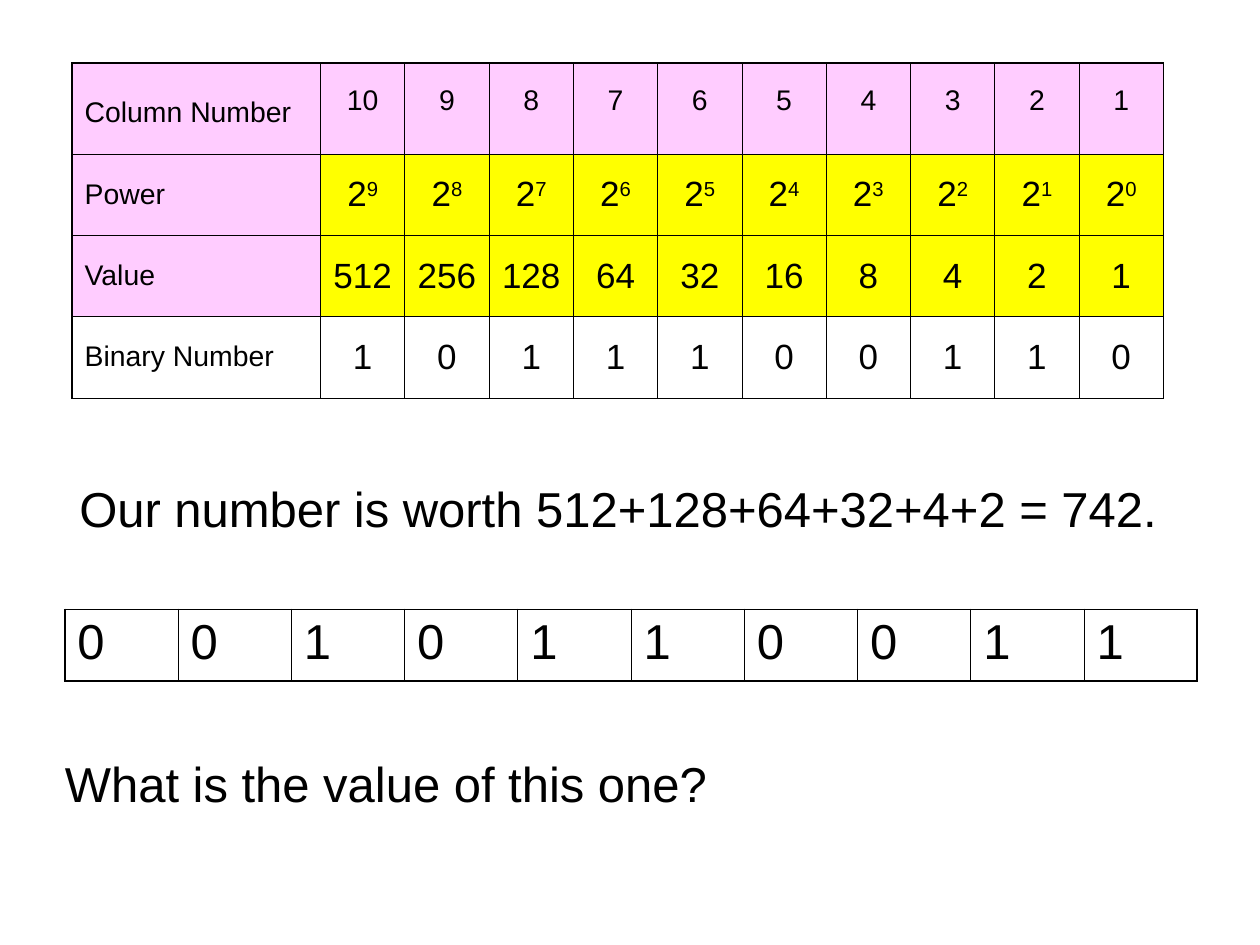
from dataclasses import dataclass

from lxml import etree
from pptx import Presentation
from pptx.dml.color import RGBColor
from pptx.enum.text import MSO_ANCHOR, MSO_AUTO_SIZE, PP_ALIGN
from pptx.oxml.ns import qn
from pptx.util import Pt

LEFT, CENTER = PP_ALIGN.LEFT, PP_ALIGN.CENTER
TOP, MIDDLE, BOTTOM = MSO_ANCHOR.TOP, MSO_ANCHOR.MIDDLE, MSO_ANCHOR.BOTTOM
FIT_SHAPE = MSO_AUTO_SIZE.SHAPE_TO_FIT_TEXT

FONT = "Arial"
BLACK, WHITE, PINK, YELLOW = "000000", "FFFFFF", "FFCCFF", "FFFF00"
THIN, THICK = 0.45, 1.08
LARGE, MEDIUM = 28, 20
BITS = 10


@dataclass
class Entry:
    """One table cell: its text, an optional raised part, and its look."""
    text: str
    raised: str = ""
    size: float = MEDIUM
    fill: str = WHITE
    align: PP_ALIGN = CENTER
    anchor: MSO_ANCHOR = MIDDLE


def color(value: str) -> RGBColor:
    return RGBColor.from_string(value)


def write(frame, text: str, *, raised="", size=LARGE, align=LEFT) -> None:
    paragraph = frame.paragraphs[0]
    paragraph.alignment = align
    for part, baseline in ((text, 0), (raised, 30000)):
        if not part:
            continue
        run = paragraph.add_run()
        run.text = part
        run.font.name = FONT
        run.font.size = Pt(size)
        run.font.color.rgb = color(BLACK)
        if baseline:
            run.font._element.set("baseline", str(baseline))


def add_sentence(slide, text: str, left, top, width, *, wrap: bool) -> None:
    box = slide.shapes.add_textbox(Pt(left), Pt(top), Pt(width), Pt(41))
    box.text_frame.word_wrap = wrap
    box.text_frame.auto_size = FIT_SHAPE
    write(box.text_frame, text)


def set_borders(cell, widths: dict[str, float]) -> None:
    properties = cell._tc.get_or_add_tcPr()
    for position, (side, width) in enumerate(widths.items()):
        line = etree.Element(qn(f"a:ln{side}"), w=str(int(Pt(width))))
        fill = etree.SubElement(line, qn("a:solidFill"))
        etree.SubElement(fill, qn("a:srgbClr"), val=BLACK)
        properties.insert(position, line)


def add_grid(slide, rows: list[list[Entry]], left, top, widths, heights,
             thick_sides: str) -> None:
    """Draw a table whose outer edges named in thick_sides are heavier."""
    frame = slide.shapes.add_table(len(rows), len(widths), Pt(left), Pt(top),
                                   Pt(sum(widths)), Pt(sum(heights)))
    table = frame.table
    table.first_row = table.horz_banding = False
    for column, width in zip(table.columns, widths):
        column.width = Pt(width)
    for row, height in zip(table.rows, heights):
        row.height = Pt(height)

    for r, entries in enumerate(rows):
        for c, entry in enumerate(entries):
            cell = table.cell(r, c)
            cell.fill.solid()
            cell.fill.fore_color.rgb = color(entry.fill)
            cell.vertical_anchor = entry.anchor
            write(cell.text_frame, entry.text, raised=entry.raised,
                  size=entry.size, align=entry.align)
            outer = {"L": c == 0, "R": c == len(widths) - 1,
                     "T": r == 0, "B": r == len(rows) - 1}
            set_borders(cell, {
                side: THICK if at_edge and side in thick_sides else THIN
                for side, at_edge in outer.items()})


def row_label(text: str, fill: str = PINK) -> Entry:
    """Row names are set wholly as raised text at the foot of the cell."""
    return Entry("", text, LARGE, fill, LEFT, BOTTOM)


def main() -> None:
    prs = Presentation()
    prs.slide_width, prs.slide_height = Pt(720), Pt(540)
    slide = prs.slides.add_slide(prs.slide_layouts[6])

    # Worked example and the exercise below it
    add_sentence(slide, "Our number is worth 512+128+64+32+4+2 = 742.",
                 38.2, 270, 630, wrap=False)
    exercise = [Entry(bit, size=LARGE, align=LEFT, anchor=TOP)
                for bit in "0010110011"]
    add_grid(slide, [exercise], 37, 348, [64.74] * BITS, [41], "LRB")
    add_sentence(slide, "What is the value of this one?",
                 30, 427, 663, wrap=True)

    # Place-value table
    powers = range(BITS - 1, -1, -1)
    place_values = [
        [row_label("Column Number")]
        + [Entry("", str(p + 1), LARGE, PINK) for p in powers],
        [row_label("Power")]
        + [Entry("2", str(p), fill=YELLOW) for p in powers],
        [row_label("Value")]
        + [Entry(str(2 ** p), fill=YELLOW) for p in powers],
        [row_label("Binary Number", WHITE)]
        + [Entry(bit) for bit in "1011100110"],
    ]
    add_grid(slide, place_values, 41.2, 36, [142] + [48.17] * BITS,
             [52] + [46.5] * 3, "LRT")

    prs.save("out.pptx")


if __name__ == "__main__":
    main()
